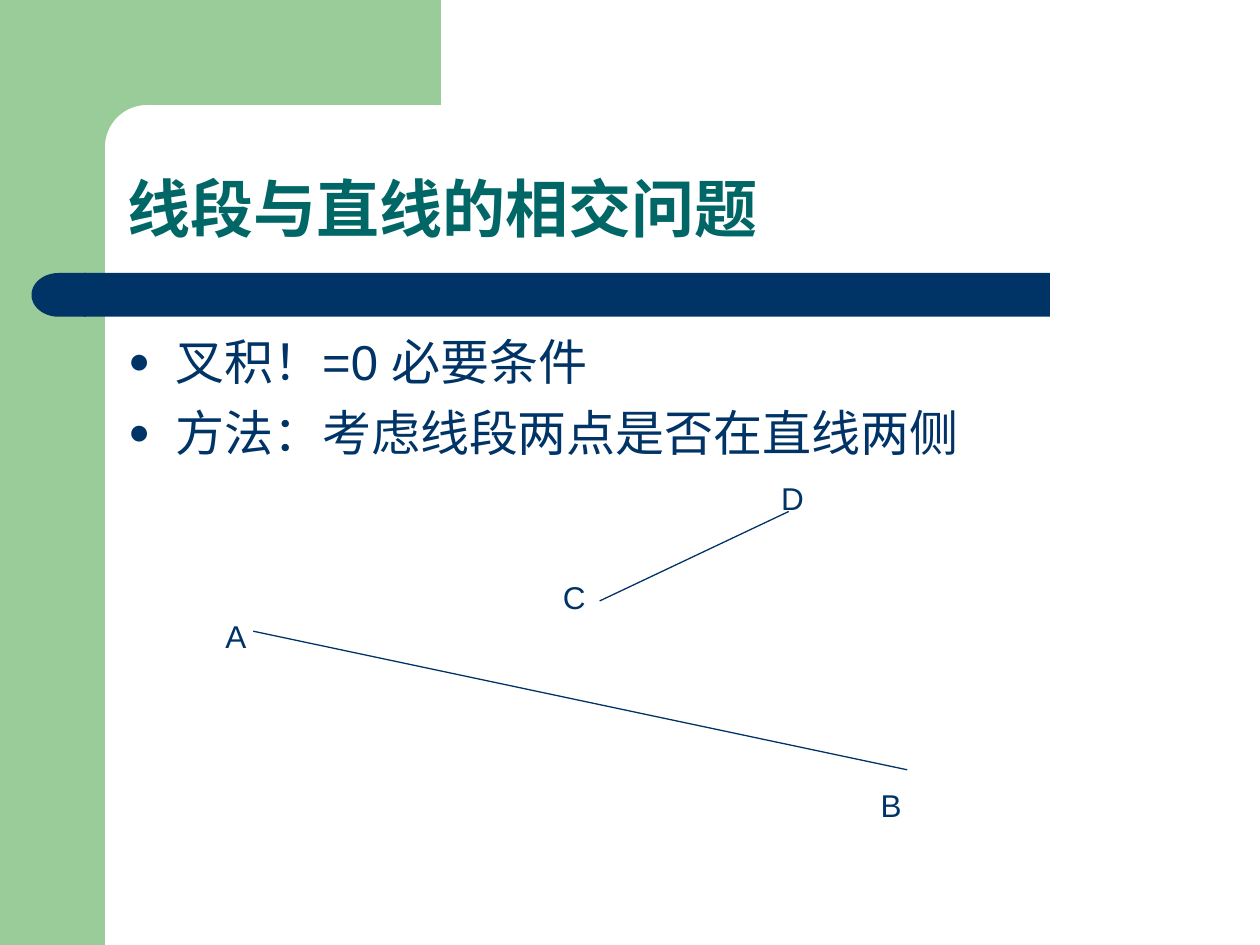
from math import cos, pi, sin

from lxml.etree import SubElement
from pptx import Presentation
from pptx.dml.color import RGBColor
from pptx.enum.shapes import MSO_CONNECTOR as Connector, MSO_SHAPE as Shape
from pptx.enum.text import MSO_ANCHOR as Anchor
from pptx.oxml.ns import qn
from pptx.util import Pt

COLORS = {"green": "99CC99", "navy": "003366", "teal": "006666"}
FONT = "Arial"

TITLE = "线段与直线的相交问题"
BULLETS = ["叉积！=0 必要条件", "方法：考虑线段两点是否在直线两侧"]
SEGMENTS = [((144.7, 360.7), (518.4, 439.9)), ((450.7, 292.3), (342.7, 343.4))]
POINT_LABELS = [
    ("A", 121.7, 349.2),
    ("C", 314.6, 326.9),
    ("B", 496.1, 445.7),
    ("D", 439.2, 270),
]

BAND_RIGHT, BAND_BOTTOM, CORNER_RADIUS = 60, 60, 24
CORNER_STEPS = 16


def color(name):
    return RGBColor.from_string(COLORS[name])


def paint(shape, fill):
    shape.shadow.inherit = False
    shape.fill.solid()
    shape.fill.fore_color.rgb = color(fill)
    shape.line.fill.background()
    return shape


def add_block(kind, left, top, width, height, fill):
    shape = page.shapes.add_shape(kind, Pt(left), Pt(top), Pt(width), Pt(height))
    return paint(shape, fill)


def add_bullet(para):
    props = para._p.get_or_add_pPr()
    props.set("marL", str(Pt(27)))
    props.set("indent", str(Pt(-27)))
    tint = SubElement(props, qn("a:buClr"))
    SubElement(tint, qn("a:srgbClr"), val=COLORS["navy"])
    SubElement(props, qn("a:buSzPct"), val="75000")
    SubElement(props, qn("a:buFont"), typeface=FONT)
    SubElement(props, qn("a:buChar"), char="●")


def add_text(lines, left, top, width, height, size, ink="navy", bold=False,
             anchor=Anchor.TOP, bullets=False, before=0, spacing=None):
    box = page.shapes.add_textbox(Pt(left), Pt(top), Pt(width), Pt(height))
    frame = box.text_frame
    frame.word_wrap = True
    frame.vertical_anchor = anchor
    for index, line in enumerate(lines):
        para = frame.add_paragraph() if index else frame.paragraphs[0]
        if bullets:
            add_bullet(para)
        if index:
            para.space_before = Pt(before)
        if spacing:
            para.line_spacing = spacing
        span = para.add_run()
        span.text = line
        span.font.name = FONT
        span.font.size = Pt(size)
        span.font.bold = bold
        span.font.color.rgb = color(ink)


def add_corner():
    center_x, center_y = BAND_RIGHT + CORNER_RADIUS, BAND_BOTTOM + CORNER_RADIUS
    angles = [pi / 2 * step / CORNER_STEPS for step in range(CORNER_STEPS + 1)]
    arc = [(center_x - CORNER_RADIUS * sin(angle), center_y - CORNER_RADIUS * cos(angle))
           for angle in angles]
    outline = [(252, BAND_BOTTOM), *arc, (BAND_RIGHT, 92), (36, 92), (36, 0)]
    builder = page.shapes.build_freeform(Pt(252), Pt(0))
    builder.add_line_segments([(Pt(x), Pt(y)) for x, y in outline], close=True)
    paint(builder.convert_to_shape(), "green")


def add_segment(start, end):
    line = page.shapes.add_connector(
        Connector.STRAIGHT, *(Pt(value) for value in (*start, *end)))
    line.line.color.rgb = color("navy")
    line.line.width = Pt(0.75)
    SubElement(line._element.spPr, qn("a:effectLst"))


deck = Presentation()
deck.slide_width, deck.slide_height = Pt(720), Pt(540)
page = deck.slides.add_slide(deck.slide_layouts[6])

add_block(Shape.RECTANGLE, 0, 0, BAND_RIGHT, 540, "green")
add_corner()
add_block(Shape.RECTANGLE, 48, 156, 552, 25, "navy")
bar_cap = add_block(Shape.FLOWCHART_DELAY, 18, 156, 31, 25, "navy")
bar_cap.rotation = 180

add_text([TITLE], 65.5, 65.5, 612.7, 78.5, size=36, ink="teal", bold=True,
         anchor=Anchor.BOTTOM, spacing=0.9)
add_text(BULLETS, 66.2, 185.8, 640, 293, size=28, bullets=True, before=7)

for start, end in SEGMENTS:
    add_segment(start, end)
for name, left, top in POINT_LABELS:
    add_text([name], left, top, 34, 29, size=18)

deck.save("out.pptx")
